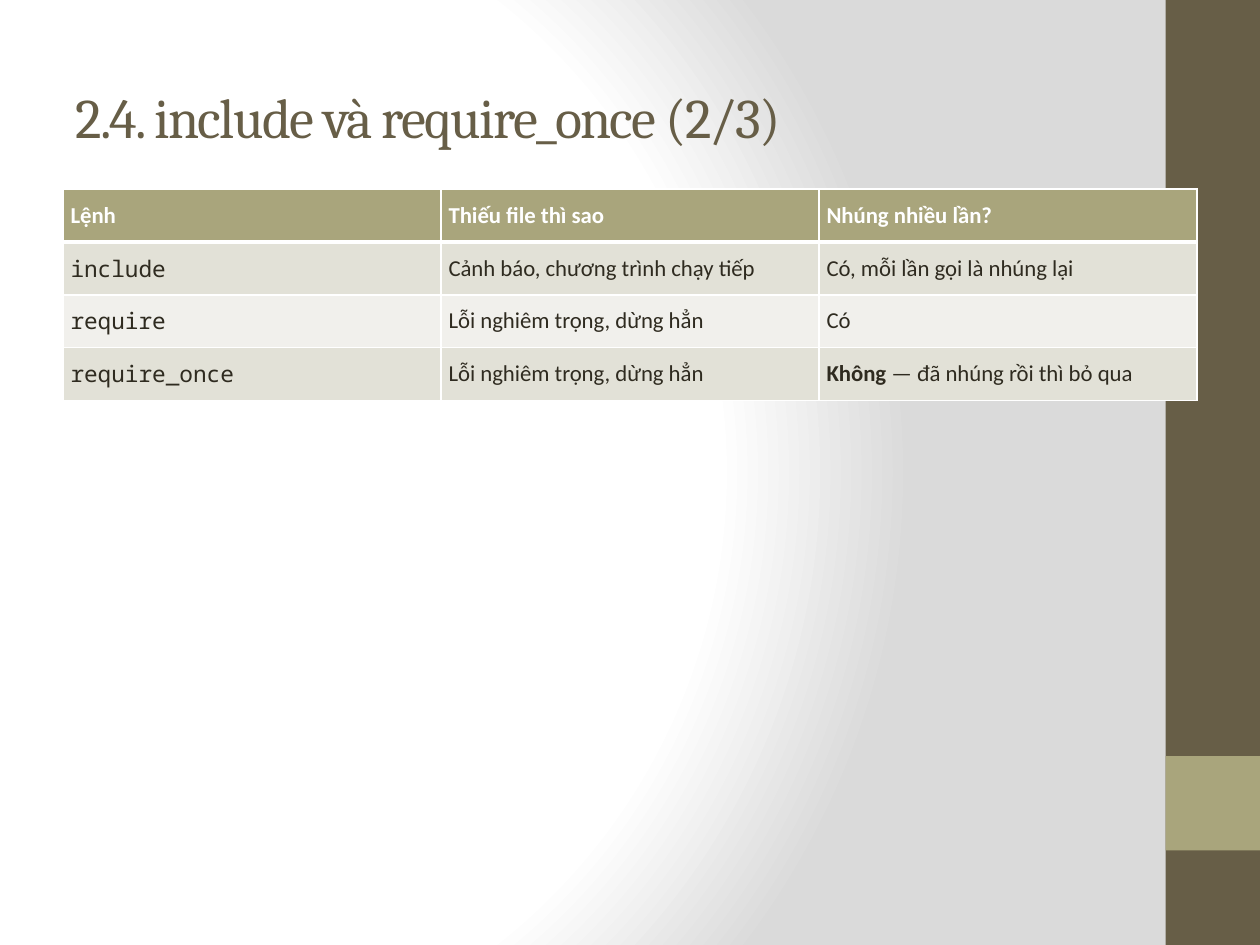
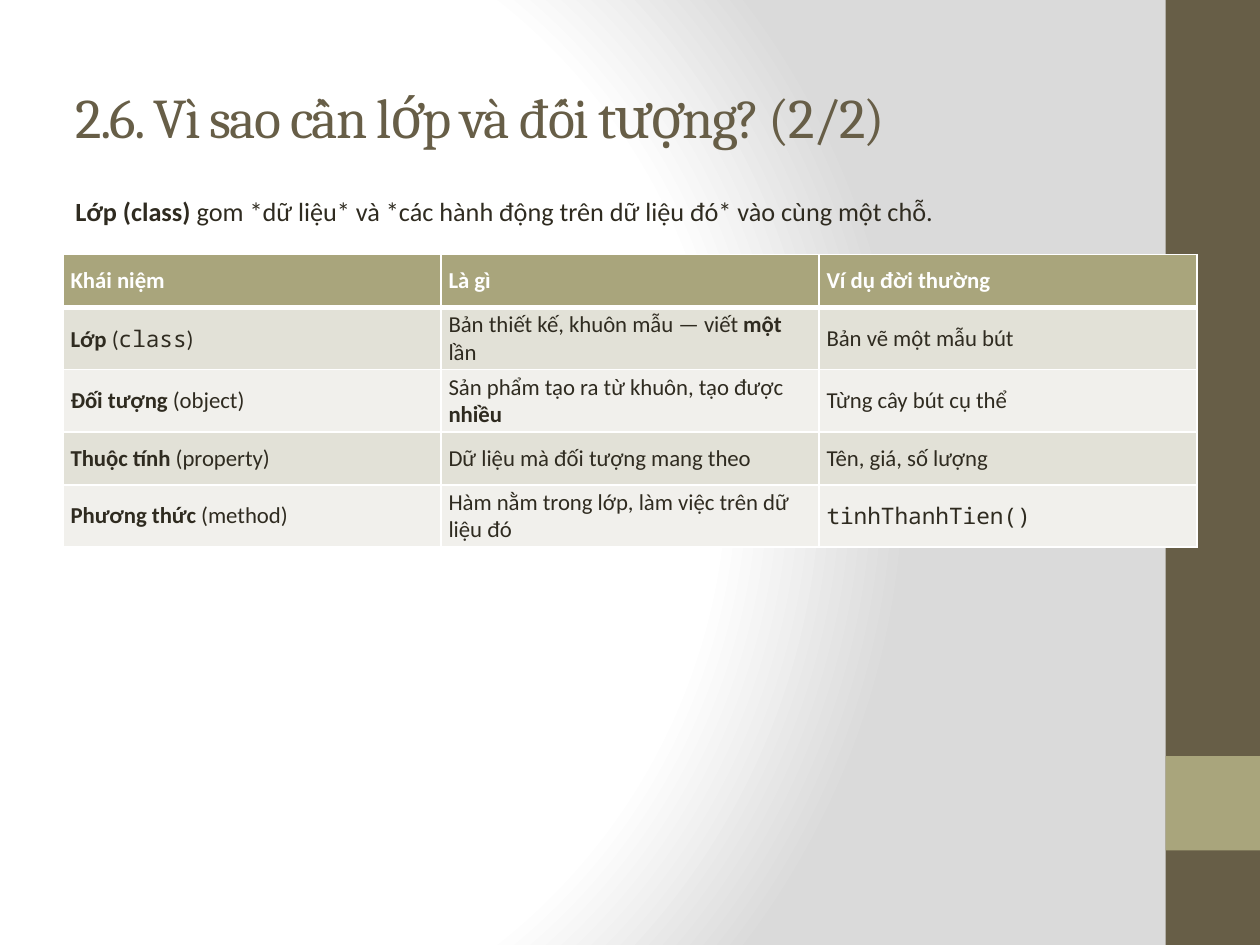
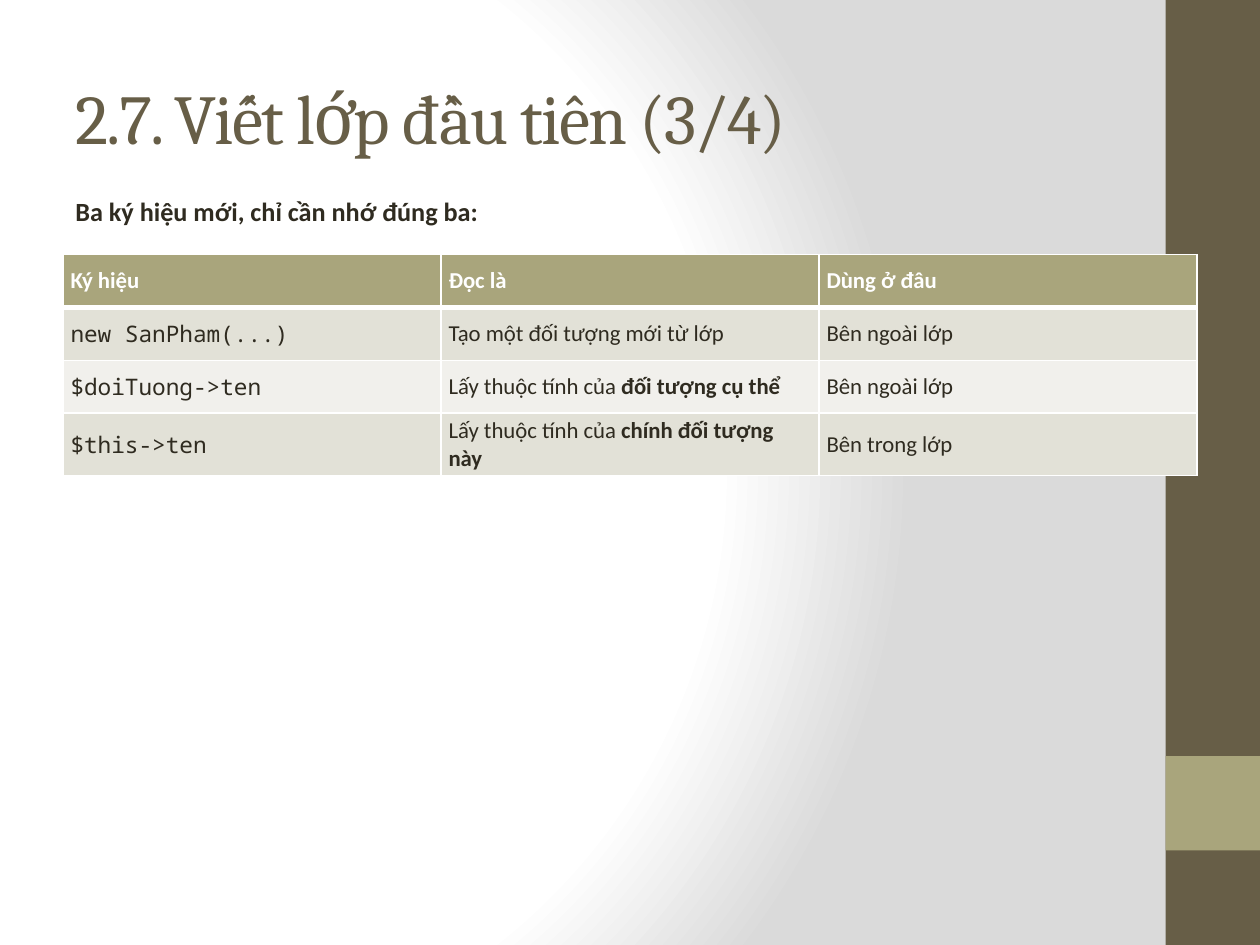
"""Build three PHP lesson slides, each with a title and a comparison table."""
from lxml import etree
from pptx import Presentation
from pptx import util as u
from pptx.dml.color import RGBColor
from pptx.enum import shapes, text
from pptx.oxml import parse_xml
from pptx.oxml.ns import nsdecls, qn

WHITE = RGBColor(0xFF, 0xFF, 0xFF)
GREY = RGBColor(0xDA, 0xDA, 0xDA)
BROWN = RGBColor(0x67, 0x5E, 0x47)
OLIVE = RGBColor(0xA9, 0xA5, 0x7C)
INK = RGBColor(0x2F, 0x2B, 0x20)
ROW_FILLS = (RGBColor(0xE2, 0xE1, 0xD7), RGBColor(0xF1, 0xF0, 0xEC))
TITLE_FONT, BODY_FONT, CODE_FONT = "Cambria", "Calibri", "Noto Sans Mono"
LEFT, WIDTH, ROW_H = 0.5, 9, 0.42

INCLUDE_ROWS = [
    ("Lệnh", "Thiếu file thì sao", "Nhúng nhiều lần?"),
    ("`include`", "Cảnh báo, chương trình chạy tiếp", "Có, mỗi lần gọi là nhúng lại"),
    ("`require`", "Lỗi nghiêm trọng, dừng hẳn", "Có"),
    ("`require_once`", "Lỗi nghiêm trọng, dừng hẳn", "**Không** — đã nhúng rồi thì bỏ qua"),
]
CONCEPT_ROWS = [
    ("Khái niệm", "Là gì", "Ví dụ đời thường"),
    ("**Lớp** (`class`)", "Bản thiết kế, khuôn mẫu — viết **một** lần", "Bản vẽ một mẫu bút"),
    ("**Đối tượng** (object)", "Sản phẩm tạo ra từ khuôn, tạo được **nhiều**", "Từng cây bút cụ thể"),
    ("**Thuộc tính** (property)", "Dữ liệu mà đối tượng mang theo", "Tên, giá, số lượng"),
    ("**Phương thức** (method)", "Hàm nằm trong lớp, làm việc trên dữ liệu đó", "`tinhThanhTien()`"),
]
SYMBOL_ROWS = [
    ("Ký hiệu", "Đọc là", "Dùng ở đâu"),
    ("`new SanPham(...)`", "Tạo một đối tượng mới từ lớp", "Bên ngoài lớp"),
    ("`$doiTuong->ten`", "Lấy thuộc tính của **đối tượng cụ thể**", "Bên ngoài lớp"),
    ("`$this->ten`", "Lấy thuộc tính của **chính đối tượng này**", "Bên trong lớp"),
]


def set_background(master):
    """Give every slide the white to grey radial gradient."""
    master.background.fill.solid()
    bg = master.element.find(".//" + qn("p:bgPr"))
    stops = "".join(f'<a:gs pos="{pos}"><a:srgbClr val="{color}"/></a:gs>'
                    for pos, color in ((0, WHITE), (75000, WHITE), (100000, GREY)))
    bg.replace(bg[0], parse_xml(
        f'<a:gradFill {nsdecls("a")} rotWithShape="1"><a:gsLst>{stops}</a:gsLst>'
        '<a:path path="circle"><a:fillToRect l="20000" t="50000" r="100000" b="50000"/>'
        '</a:path></a:gradFill>'))


def add_band(s, top, height, color):
    """Draw one block of the right-hand band."""
    sp = s.shapes.add_shape(shapes.MSO_SHAPE.RECTANGLE, u.Inches(9.25), u.Inches(top),
                            u.Inches(0.75), u.Inches(height))
    sp.shadow.inherit = False
    sp.fill.solid()
    sp.fill.fore_color.rgb = color
    sp.line.fill.background()


def add_runs(p, marked, size, color, bold=False):
    """Write text in which ** marks bold and ` marks code."""
    for i, part in enumerate(marked.split("**")):
        for j, piece in enumerate(part.split("`")):
            if piece:
                r = p.add_run()
                r.text = piece
                r.font.size = u.Pt(size)
                r.font.bold = bold or i % 2 == 1
                r.font.name = CODE_FONT if j % 2 else BODY_FONT
                r.font.color.rgb = color


def add_text_box(s, top, width, height):
    """Add a wrapping text box at the left margin and return its frame."""
    sp = s.shapes.add_textbox(u.Inches(LEFT), u.Inches(top), u.Inches(width), u.Inches(height))
    sp.text_frame.word_wrap = True
    return sp.text_frame


def add_title(s, title, size):
    """Add the slide title with tightened letter spacing."""
    tf = add_text_box(s, 0.3, 8.33, 1.25)
    tf.vertical_anchor = text.MSO_ANCHOR.MIDDLE
    tf.text = title
    r = tf.paragraphs[0].runs[0]
    r.font.name = TITLE_FONT
    r.font.size = u.Pt(size)
    r.font.color.rgb = BROWN
    r.font._element.set("spc", "-100")


def add_intro(s, marked):
    """Add the sentence above the table."""
    tf = add_text_box(s, 1.5, WIDTH, 0.45)
    tf.auto_size = text.MSO_AUTO_SIZE.SHAPE_TO_FIT_TEXT
    add_runs(tf.paragraphs[0], marked, 15, INK)


def set_borders(cell, **widths):
    """Draw white cell borders, 1 pt unless a side is given a width."""
    tc_pr = cell._tc.get_or_add_tcPr()
    for i, side in enumerate("LRTB"):
        ln = etree.Element(qn(f"a:ln{side}"), w=str(u.Pt(widths.get(side, 1))))
        fill = etree.SubElement(ln, qn("a:solidFill"))
        etree.SubElement(fill, qn("a:srgbClr"), val=str(WHITE))
        tc_pr.insert(i, ln)


def fill_cell(cell, marked, row):
    """Style one cell by its row and write its text."""
    header = row == 0
    cell.margin_left = cell.margin_right = u.Inches(0.06)
    cell.margin_top = cell.margin_bottom = u.Inches(0.03)
    cell.vertical_anchor = text.MSO_ANCHOR.MIDDLE
    cell.fill.solid()
    cell.fill.fore_color.rgb = OLIVE if header else ROW_FILLS[(row - 1) % 2]
    set_borders(cell, T=3 if row == 1 else 1, B=3 if header else 1)
    add_runs(cell.text_frame.paragraphs[0], marked, 13, WHITE if header else INK, header)


def add_grid(s, top, rows):
    """Add a table with equal columns and a header row."""
    table = s.shapes.add_table(len(rows), len(rows[0]), u.Inches(LEFT), u.Inches(top),
                               u.Inches(WIDTH), u.Inches(ROW_H * len(rows))).table
    table.horz_banding = False
    for i, row in enumerate(rows):
        table.rows[i].height = u.Inches(ROW_H)
        for j, marked in enumerate(row):
            fill_cell(table.cell(i, j), marked, i)


def add_lesson(prs, title, size, rows, intro=None):
    """Add one slide: bands, title, optional sentence and table."""
    s = prs.slides.add_slide(prs.slide_layouts[6])
    add_band(s, 0, 7.5, BROWN)
    add_band(s, 6, 0.75, OLIVE)
    add_title(s, title, size)
    if intro:
        add_intro(s, intro)
    add_grid(s, 2.02 if intro else 1.5, rows)


def main():
    """Build and save the slides."""
    prs = Presentation()
    prs.slide_width, prs.slide_height = u.Inches(10), u.Inches(7.5)
    set_background(prs.slide_master)
    add_lesson(prs, "2.4. include và require_once (2/3)", 32, INCLUDE_ROWS)
    add_lesson(prs, "2.6. Vì sao cần lớp và đối tượng? (2/2)", 32, CONCEPT_ROWS,
               "**Lớp (class)** gom *dữ liệu* và *các hành động trên dữ liệu đó* vào cùng một chỗ.")
    add_lesson(prs, "2.7. Viết lớp đầu tiên (3/4)", 40, SYMBOL_ROWS,
               "**Ba ký hiệu mới, chỉ cần nhớ đúng ba:**")
    prs.save("out.pptx")


if __name__ == "__main__":
    main()
